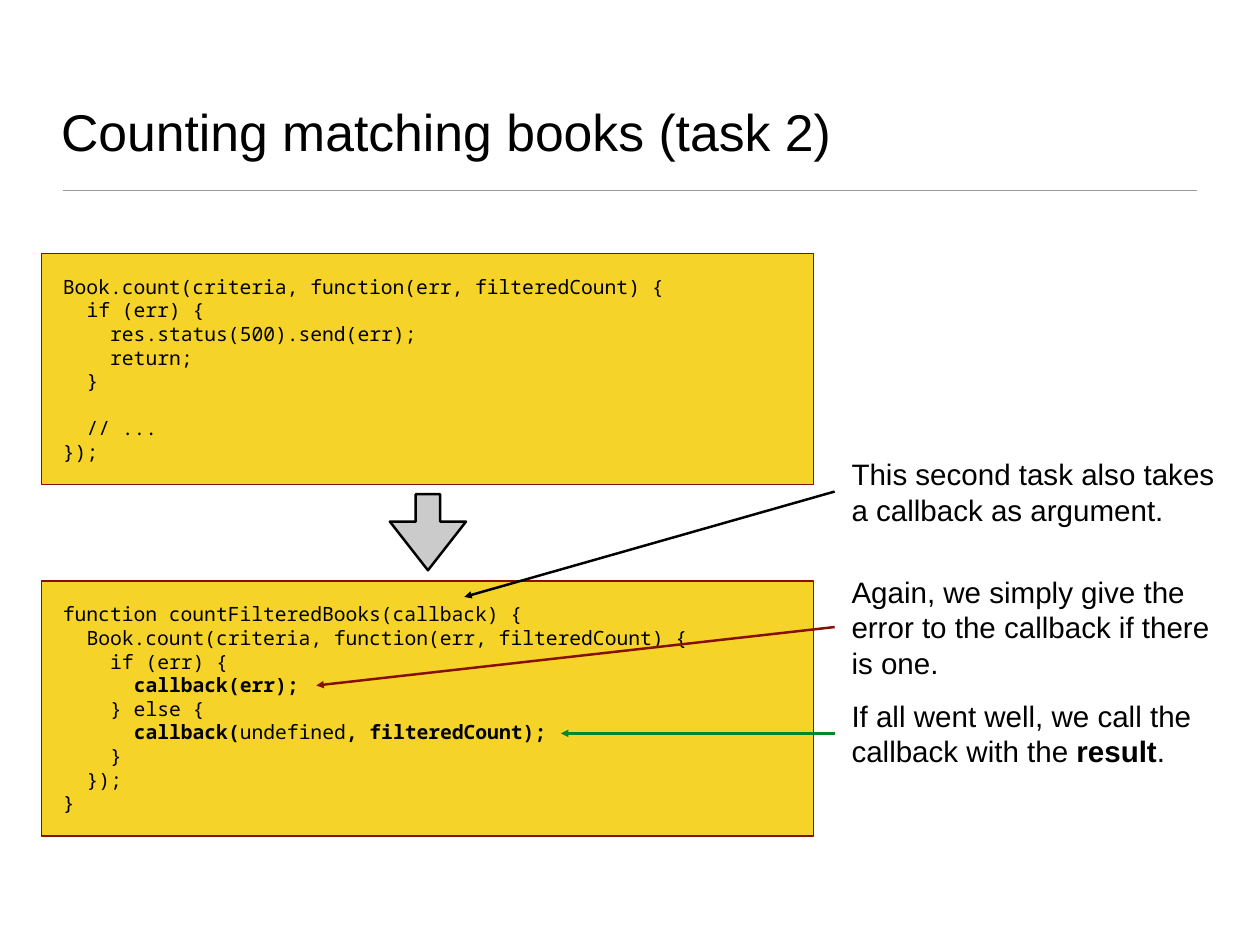
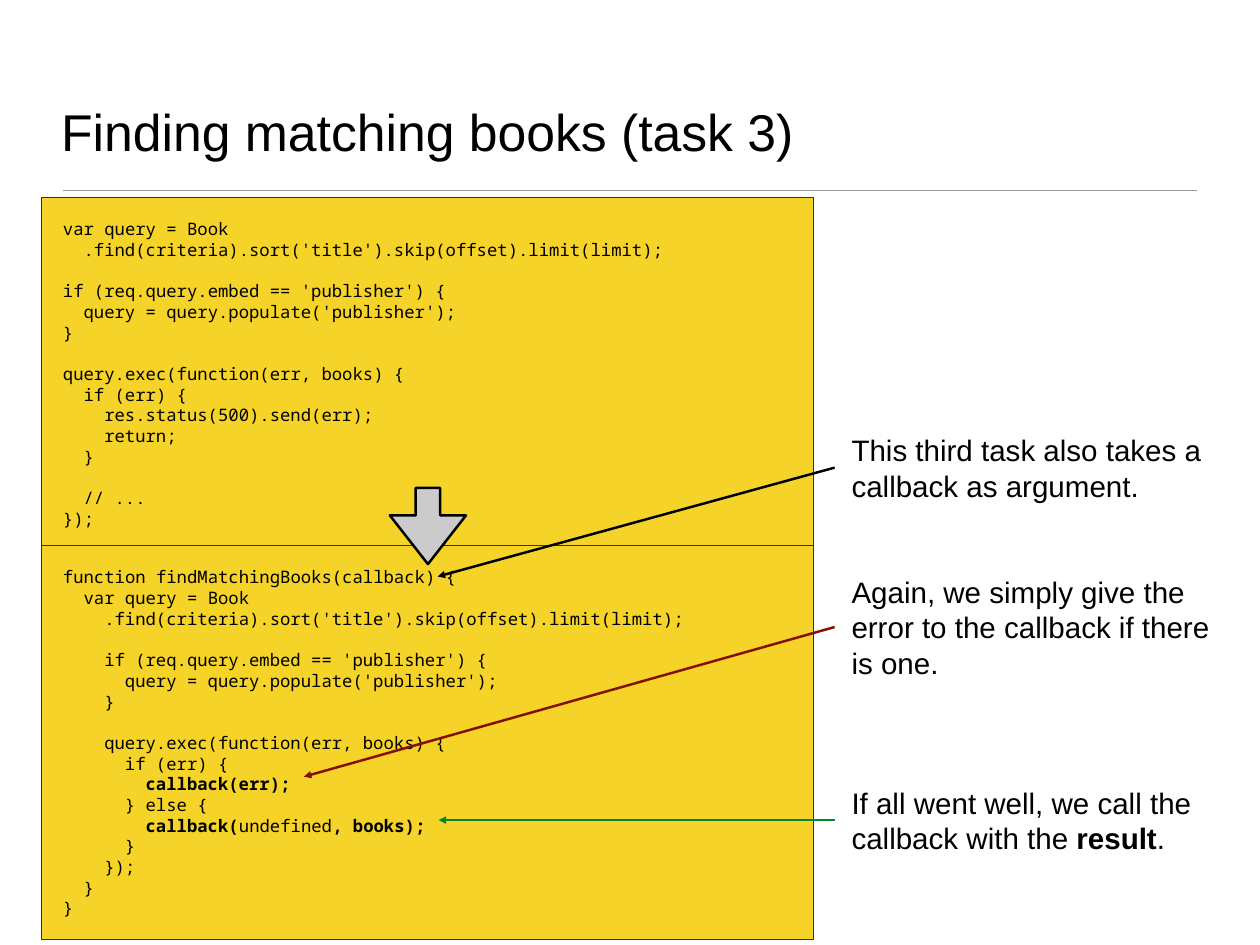
from pptx import Presentation
from pptx import util as u
from pptx.dml.color import RGBColor
from pptx.enum import shapes, text
from pptx.oxml.ns import qn
from lxml import etree

W, H = 14.22, 10.67
BLACK, RED, GREEN = "000000", "851001", "00882B"
YELLOW, GREY, RULE = "F5D328", "CBCBCB", "9A9A9A"
SANS, MONO = "Arial", "Noto Sans Mono"
BOX_X, BOX_W, BOX_PAD = 0.47, 8.71, 0.24
NOTE_X, NOTE_W, NOTE_PAD = 9.55, 4.35, 0.06
LEADER_X, ARROW_X, ARROW_SIZE = 9.42, 4.4, 0.86
LINE_RATIO, CHAR_RATIO = 1.2, 0.6

ERROR_NOTE = "Again, we simply give the error to the callback if there is one."
RESULT_NOTE = "If all went well, we call the callback with the **result**."

SLIDES = [
    {
        "title": "Counting matching books (task 2)",
        "size": 16,
        "arrow_y": 5.58,
        "code": [
            (2.86, """Book.count(criteria, function(err, filteredCount) {
  if (err) {
    res.status(500).send(err);
    return;
  }

  // ...
});"""),
            (6.56, """function countFilteredBooks(callback) {
  Book.count(criteria, function(err, filteredCount) {
    if (err) {
      **callback(err);**
    } else {
      **callback(**undefined**, filteredCount);**
    }
  });
}"""),
        ],
        "notes": [
            ("This second task also takes a callback as argument.", 2, 5.55, (5.24, 6.74), BLACK),
            (ERROR_NOTE, 3, 7.08, (3.57, 7.74), RED),
            (RESULT_NOTE, 2, 8.28, (6.33, 8.28), GREEN),
        ],
    },
    {
        "title": "Finding matching books (task 3)",
        "size": 14,
        "arrow_y": 5.51,
        "code": [
            (2.23, """var query = Book
  .find(criteria).sort('title').skip(offset).limit(limit);

if (req.query.embed == 'publisher') {
  query = query.populate('publisher');
}

query.exec(function(err, books) {
  if (err) {
    res.status(500).send(err);
    return;
  }

  // ...
});"""),
            (6.16, """function findMatchingBooks(callback) {
  var query = Book
    .find(criteria).sort('title').skip(offset).limit(limit);

    if (req.query.embed == 'publisher') {
      query = query.populate('publisher');
    }

    query.exec(function(err, books) {
      if (err) {
        **callback(err);**
      } else {
        **callback(**undefined**, books);**
      }
    });
  }
}"""),
        ],
        "notes": [
            ("This third task also takes a callback as argument.", 2, 5.28, (4.94, 6.51), BLACK),
            (ERROR_NOTE, 3, 7.08, (3.43, 8.77), RED),
            (RESULT_NOTE, 2, 9.26, (4.95, 9.26), GREEN),
        ],
    },
]


def rgb(value):
    return RGBColor.from_string(value)


def inches(*values):
    return [u.Inches(v) for v in values]


def set_frame(sp, pad, anchor):
    tf = sp.text_frame
    tf.word_wrap = True
    tf.vertical_anchor = anchor
    tf.margin_left = tf.margin_right = tf.margin_top = tf.margin_bottom = u.Inches(pad)
    return tf


def write(p, marked, size, font):
    p.alignment = text.PP_ALIGN.LEFT
    for i, part in enumerate(marked.split("**")):
        if part:
            r = p.add_run()
            r.text = part
            r.font.size, r.font.name, r.font.bold = u.Pt(size), font, i % 2 == 1
            r.font.color.rgb = rgb(BLACK)


def add_text(s, at, marked, size, anchor):
    sp = s.shapes.add_textbox(*inches(*at))
    tf = set_frame(sp, NOTE_PAD, anchor)
    write(tf.paragraphs[0], marked, size, SANS)


def add_shape(s, kind, at, fill, line, width):
    sp = s.shapes.add_shape(kind, *inches(*at))
    sp.shadow.inherit = False
    sp.fill.solid()
    sp.fill.fore_color.rgb = rgb(fill)
    sp.line.color.rgb = rgb(line)
    sp.line.width = u.Pt(width)
    return sp


def add_line(s, start, end, color, width, head=False):
    c = s.shapes.add_connector(shapes.MSO_CONNECTOR.STRAIGHT, *inches(*start, *end))
    c.line.color.rgb = rgb(color)
    c.line.width = u.Pt(width)
    if head:
        etree.SubElement(c.line._get_or_add_ln(), qn("a:tailEnd"), type="triangle")
    etree.SubElement(c._element.spPr, qn("a:effectLst"))


def add_code(s, top, code, size):
    lines = code.split("\n")
    height = len(lines) * size * LINE_RATIO / 72 + 2 * BOX_PAD
    sp = add_shape(s, shapes.MSO_SHAPE.RECTANGLE, (BOX_X, top, BOX_W, height), YELLOW, RED, 1)
    tf = set_frame(sp, BOX_PAD, text.MSO_ANCHOR.MIDDLE)
    p, gap = tf.paragraphs[0], 0
    for i, line in enumerate(lines):
        if not line:
            gap += size * LINE_RATIO
            continue
        if i:
            p = tf.add_paragraph()
        p.space_before = u.Pt(gap)
        gap = 0
        words = line.lstrip()
        indent = (len(line) - len(words)) * size * CHAR_RATIO
        pPr = p._p.get_or_add_pPr()
        pPr.set("marL", str(int(u.Pt(indent))))
        pPr.set("indent", "0")
        write(p, words, size, MONO)


def add_note(s, marked, rows, y, target, color):
    height = rows * 0.4 + 0.11
    add_text(s, (NOTE_X, y - height / 2, NOTE_W, height), marked, 24, text.MSO_ANCHOR.MIDDLE)
    add_line(s, (LEADER_X, y), target, color, 2, head=True)


def add_slide(prs, data):
    s = prs.slides.add_slide(prs.slide_layouts[6])
    add_line(s, (0.71, 2.15), (W - 0.71, 2.15), RULE, 1)
    add_text(s, (0.63, 0.36, 12.97, 1.53), data["title"], 42, text.MSO_ANCHOR.BOTTOM)
    for top, code in data["code"]:
        add_code(s, top, code, data["size"])
    at = (ARROW_X, data["arrow_y"], ARROW_SIZE, ARROW_SIZE)
    sp = add_shape(s, shapes.MSO_SHAPE.DOWN_ARROW, at, GREY, BLACK, 2)
    sp.adjustments[0], sp.adjustments[1] = 0.32, 0.64
    for note in data["notes"]:
        add_note(s, *note)


def main():
    prs = Presentation()
    prs.slide_width, prs.slide_height = inches(W, H)
    for data in SLIDES:
        add_slide(prs, data)
    prs.save("out.pptx")


if __name__ == "__main__":
    main()
